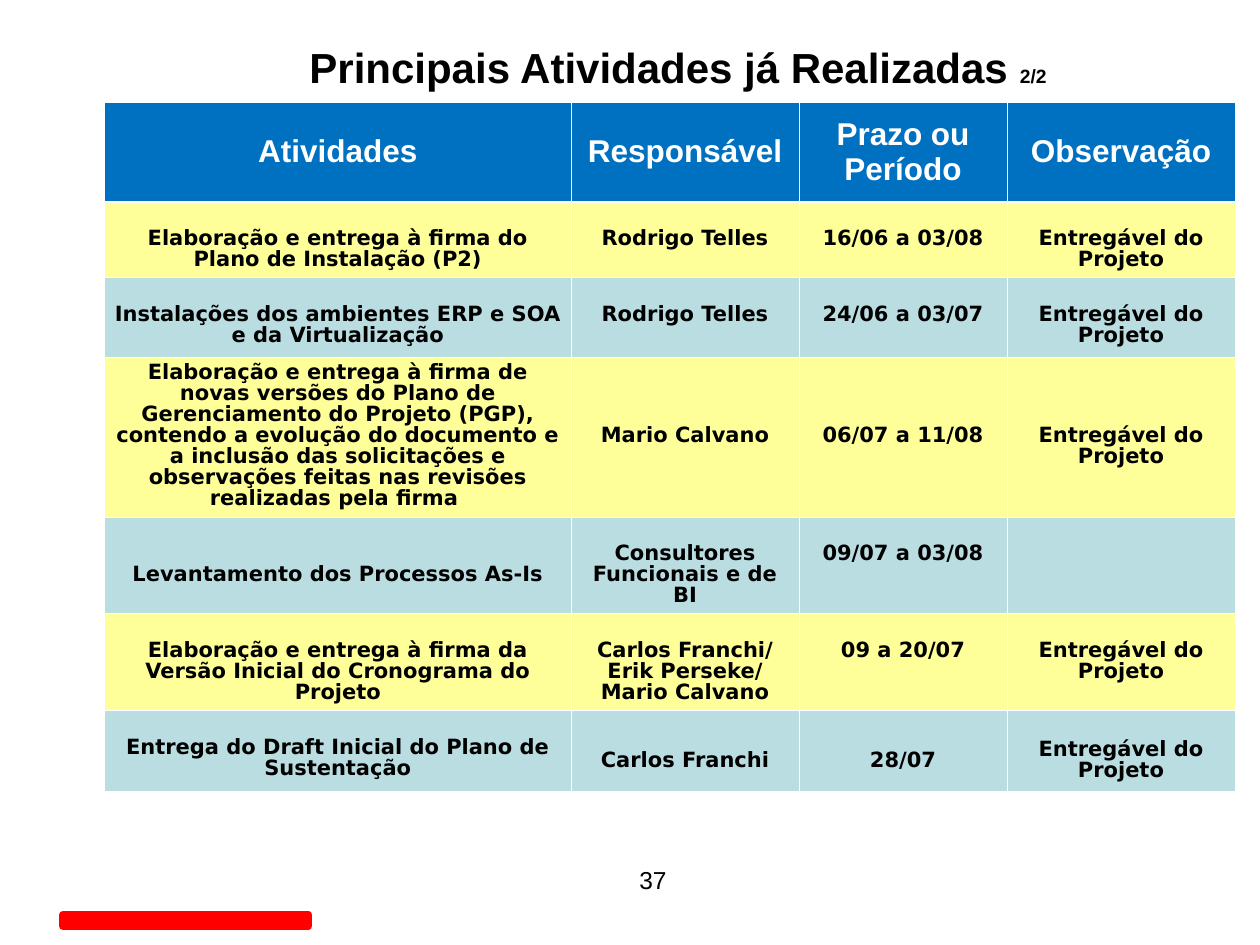
from dataclasses import dataclass

from lxml import etree
from pptx import Presentation
from pptx.dml.color import RGBColor
from pptx.enum.shapes import MSO_SHAPE
from pptx.enum.text import MSO_ANCHOR, MSO_AUTO_SIZE, PP_ALIGN
from pptx.oxml.ns import qn
from pptx.util import Cm, Pt

RECT = MSO_SHAPE.RECTANGLE
TOP, MIDDLE = MSO_ANCHOR.TOP, MSO_ANCHOR.MIDDLE
CENTER, LEFT, RIGHT = PP_ALIGN.CENTER, PP_ALIGN.LEFT, PP_ALIGN.RIGHT
FIT_SHAPE = MSO_AUTO_SIZE.SHAPE_TO_FIT_TEXT

BLACK = RGBColor(0, 0, 0)
WHITE = RGBColor(255, 255, 255)
RED = RGBColor(255, 0, 0)
BLUE = RGBColor(0x00, 0x70, 0xC0)
YELLOW = RGBColor(0xFF, 0xFF, 0x99)
TEAL = RGBColor(0xBA, 0xDD, 0xE1)

HEADING_FONT = "Arial"
BODY_FONT = "DejaVu Sans"
LINE = Pt(12)
THIN, THICK = Pt(0.45), Pt(1.47)
COL_WIDTHS = (9.4, 4.6, 4.19, 4.6)
HEADERS = ("Atividades", "Responsável", "Prazo ou Período", "Observação")
HEADER_HEIGHT = 2.01
DELIVERABLE = "Entregável do Projeto"


@dataclass(frozen=True)
class Activity:
    height: float
    texts: tuple[str, str, str, str]
    lines_above: tuple[int, int, int, int] = (1, 1, 1, 1)
    detail_anchor: MSO_ANCHOR = TOP


ACTIVITIES = (
    Activity(1.47, ("Elaboração e entrega à firma do Plano de Instalação (P2)",
                    "Rodrigo Telles", "16/06 a 03/08", DELIVERABLE)),
    Activity(1.6, ("Instalações dos ambientes ERP e SOA e da Virtualização",
                   "Rodrigo Telles", "24/06 a 03/07", DELIVERABLE)),
    Activity(2.97, ("Elaboração e entrega à firma de novas versões do Plano de "
                    "Gerenciamento do Projeto (PGP), contendo a evolução do "
                    "documento e a inclusão das solicitações e observações "
                    "feitas nas revisões realizadas pela firma ",
                    "Mario Calvano", "06/07 a 11/08", DELIVERABLE),
             lines_above=(0, 3, 3, 3)),
    Activity(1.75, ("Levantamento dos Processos As-Is",
                    "Consultores Funcionais e de BI", "09/07 a 03/08", ""),
             lines_above=(2, 1, 1, 0)),
    Activity(1.7, ("Elaboração e entrega à firma da Versão Inicial do Cronograma do Projeto",
                   "Carlos Franchi/\nErik Perseke/\nMario Calvano",
                   "09 a 20/07", DELIVERABLE)),
    Activity(1.63, ("Entrega do Draft Inicial do Plano de Sustentação",
                    "Carlos Franchi", "28/07", DELIVERABLE),
             detail_anchor=MIDDLE),
)


def add_run(p, text: str, size: float, font: str, color: RGBColor, bold: bool) -> None:
    r = p.add_run()
    r.text = text
    r.font.size = Pt(size)
    r.font.name = font
    r.font.color.rgb = color
    r.font.bold = bold


def set_borders(cell, top: int, bottom: int) -> None:
    tc_pr = cell._tc.get_or_add_tcPr()
    for tag, width in (("a:lnL", THIN), ("a:lnR", THIN), ("a:lnT", top), ("a:lnB", bottom)):
        ln = etree.SubElement(tc_pr, qn(tag), w=str(int(width)))
        fill = etree.SubElement(ln, qn("a:solidFill"))
        etree.SubElement(fill, qn("a:srgbClr"), val=str(WHITE))


def fill_cell(cell, color: RGBColor, top: int = THIN, bottom: int = THIN) -> None:
    set_borders(cell, top, bottom)
    cell.fill.solid()
    cell.fill.fore_color.rgb = color


def add_header(table) -> None:
    table.rows[0].height = Cm(HEADER_HEIGHT)
    for col, text in enumerate(HEADERS):
        cell = table.cell(0, col)
        fill_cell(cell, BLUE, bottom=THICK)
        cell.vertical_anchor = MIDDLE
        p = cell.text_frame.paragraphs[0]
        p.alignment = CENTER
        add_run(p, text, 18, HEADING_FONT, WHITE, True)


def add_activity(table, row: int, activity: Activity) -> None:
    table.rows[row].height = Cm(activity.height)
    for col, (text, above) in enumerate(zip(activity.texts, activity.lines_above)):
        cell = table.cell(row, col)
        fill_cell(cell, YELLOW if row % 2 else TEAL, top=THICK if row == 1 else THIN)
        cell.vertical_anchor = activity.detail_anchor if col else TOP
        cell.margin_left = cell.margin_right = Cm(0.19)
        cell.margin_top = Cm(0.13) + above * LINE
        cell.margin_bottom = Cm(0.13)
        if not text:
            continue
        tf = cell.text_frame
        for i, line in enumerate(text.split("\n")):
            p = tf.add_paragraph() if i else tf.paragraphs[0]
            p.alignment = CENTER
            p.line_spacing = LINE
            add_run(p, line, 12, BODY_FONT, BLACK, True)


def add_activity_table(s) -> None:
    height = HEADER_HEIGHT + sum(a.height for a in ACTIVITIES)
    frame = s.shapes.add_table(len(ACTIVITIES) + 1, len(HEADERS), Cm(2.11), Cm(2.06),
                               Cm(sum(COL_WIDTHS)), Cm(height))
    table = frame.table
    for column, width in zip(table.columns, COL_WIDTHS):
        column.width = Cm(width)
    add_header(table)
    for row, activity in enumerate(ACTIVITIES, start=1):
        add_activity(table, row, activity)


def add_text_box(s, left: float, top: float, width: float, height: float,
                 runs: tuple[tuple[str, float], ...], align: PP_ALIGN, bold: bool):
    sp = s.shapes.add_textbox(Cm(left), Cm(top), Cm(width), Cm(height))
    tf = sp.text_frame
    tf.word_wrap = True
    p = tf.paragraphs[0]
    p.alignment = align
    for text, size in runs:
        add_run(p, text, size, HEADING_FONT, BLACK, bold)
    return tf


def add_footer_bar(s) -> None:
    sp = s.shapes.add_shape(RECT, Cm(1.27), Cm(18.44), Cm(4.95), Cm(0.23))
    sp.shadow.inherit = False
    sp.fill.solid()
    sp.fill.fore_color.rgb = RED
    sp.line.color.rgb = RED
    sp.line.width = Pt(4.5)


def main() -> None:
    prs = Presentation()
    prs.slide_width, prs.slide_height = Cm(25.4), Cm(19.05)
    s = prs.slides.add_slide(prs.slide_layouts[6])
    add_footer_bar(s)
    add_text_box(s, 12.29, 17.32, 1.4, 1.32, (("37", 14),), RIGHT, False)
    add_activity_table(s)
    title = add_text_box(s, 5.99, 0.71, 15.39, 1.27,
                         (("Principais Atividades já Realizadas ", 24), ("2/2", 11)),
                         LEFT, True)
    title.word_wrap = False
    title.auto_size = FIT_SHAPE
    prs.save("out.pptx")


if __name__ == "__main__":
    main()
